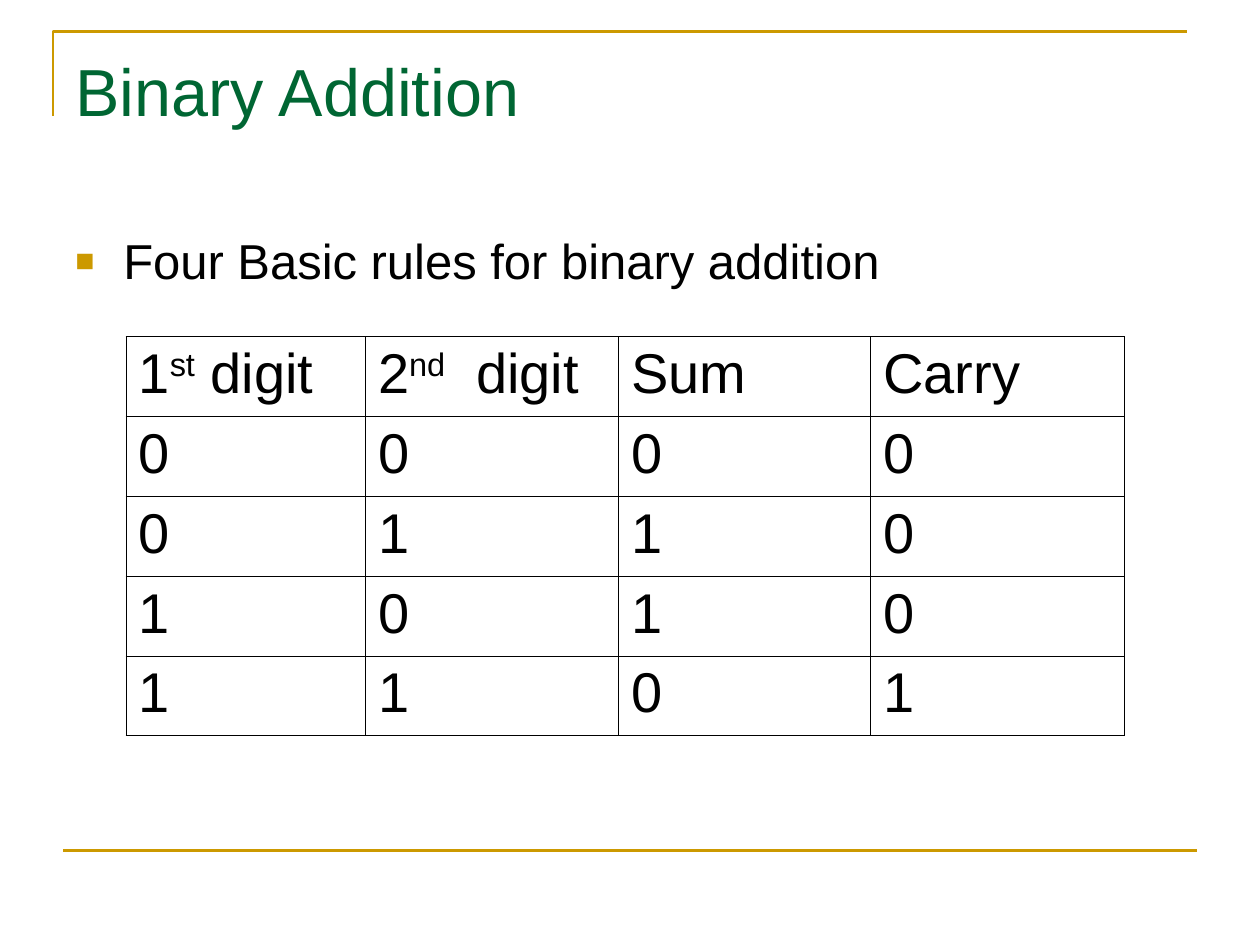
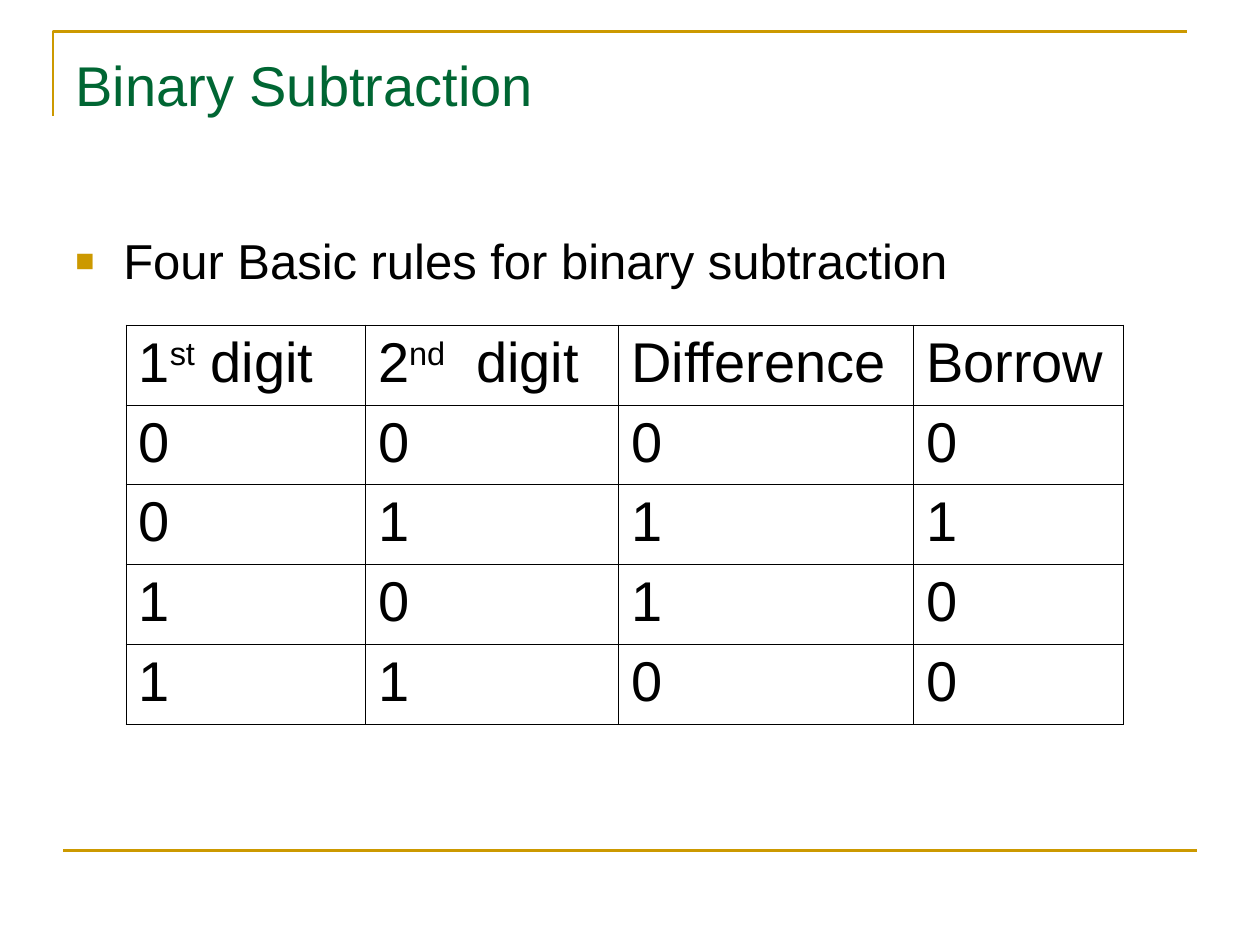
from lxml.etree import SubElement
from pptx import Presentation
from pptx.dml.color import RGBColor
from pptx.enum.shapes import MSO_CONNECTOR
from pptx.enum.text import MSO_ANCHOR, PP_ALIGN
from pptx.oxml.ns import qn
from pptx.util import Emu, Inches, Pt

FONT = "Arial"
GREEN, GOLD, BLACK = "006633", "CC9900", "000000"
WIDTH, HEIGHT = 10, 7.5
MARGIN = WIDTH / 20
FRAME_LEFT, FRAME_TOP, FRAME_DROP = 0.42, 0.25, 0.67
RULE_WIDTH = WIDTH - 2 * MARGIN
RULE_TOP = HEIGHT * 0.9
TABLE_LEFT, ROW_HEIGHT = 1, 0.634
BULLET_INDENT = 0.38

FIRST = [("1", 0), ("st", 30), (" digit", 0)]
SECOND = [("2", 0), ("nd", 30), ("  digit", 0)]

SLIDES = [
    {
        "title": "Binary Addition",
        "title_size": 38,
        "rule": "Four Basic rules for binary addition",
        "table_top": 2.67,
        "columns": [1.9, 2.01, 2, 2.01],
        "results": ("Sum", "Carry"),
        "digits": ["0000", "0110", "1010", "1101"],
    },
    {
        "title": "Binary Subtraction",
        "title_size": 32,
        "rule": "Four Basic rules for binary subtraction",
        "table_top": 2.58,
        "columns": [1.9, 2.01, 2.34, 1.67],
        "results": ("Difference", "Borrow"),
        "digits": ["0000", "0111", "1010", "1100"],
    },
]


def color(value):
    return RGBColor.from_string(value)


def add_run(paragraph, text, size, value, baseline=0):
    run = paragraph.add_run()
    run.text = text
    run.font.name = FONT
    run.font.size = Pt(size)
    run.font.color.rgb = color(value)
    if baseline:
        run._r.get_or_add_rPr().set("baseline", str(baseline * 1000))


def style_line(shape):
    shape.line.color.rgb = color(GOLD)
    shape.line.width = Pt(1.5)


def add_frame(slide):
    right = FRAME_LEFT + RULE_WIDTH
    builder = slide.shapes.build_freeform(
        Inches(FRAME_LEFT), Inches(FRAME_TOP + FRAME_DROP)
    )
    corners = [(FRAME_LEFT, FRAME_TOP), (right, FRAME_TOP)]
    builder.add_line_segments(
        [(Inches(x), Inches(y)) for x, y in corners], close=False
    )
    corner = builder.convert_to_shape()
    corner.shadow.inherit = False
    corner.fill.background()
    style_line(corner)

    rule = slide.shapes.add_connector(
        MSO_CONNECTOR.STRAIGHT,
        Inches(MARGIN), Inches(RULE_TOP),
        Inches(MARGIN + RULE_WIDTH), Inches(RULE_TOP),
    )
    style_line(rule)
    SubElement(rule._element.spPr, qn("a:effectLst"))


def add_text(slide, box, text, size, value, top_inset):
    shape = slide.shapes.add_textbox(*[Inches(length) for length in box])
    frame = shape.text_frame
    frame.word_wrap = True
    frame.vertical_anchor = MSO_ANCHOR.TOP
    frame.margin_top = Inches(top_inset)
    paragraph = frame.paragraphs[0]
    add_run(paragraph, text, size, value)
    return paragraph


def add_bullet(paragraph):
    properties = paragraph._p.get_or_add_pPr()
    properties.set("marL", str(Inches(BULLET_INDENT)))
    properties.set("indent", str(-Inches(BULLET_INDENT)))
    bullet_color = SubElement(properties, qn("a:buClr"))
    SubElement(bullet_color, qn("a:srgbClr"), val=GOLD)
    SubElement(properties, qn("a:buSzPct"), val="65000")
    SubElement(properties, qn("a:buFont"), typeface=FONT)
    SubElement(properties, qn("a:buChar"), char="■")


def add_borders(cell):
    properties = cell._tc.get_or_add_tcPr()
    for position, side in enumerate(("lnL", "lnR", "lnT", "lnB")):
        line = SubElement(properties, qn(f"a:{side}"), w=str(Pt(0.45)))
        fill = SubElement(line, qn("a:solidFill"))
        SubElement(fill, qn("a:srgbClr"), val=BLACK)
        properties.insert(position, line)


def add_rules_table(slide, content):
    header = [FIRST, SECOND] + [[(name, 0)] for name in content["results"]]
    rows = [header] + [
        [[(digit, 0)] for digit in digits] for digits in content["digits"]
    ]
    widths = content["columns"]
    table = slide.shapes.add_table(
        len(rows), len(widths),
        Inches(TABLE_LEFT), Inches(content["table_top"]),
        Inches(sum(widths)), Inches(ROW_HEIGHT * len(rows)),
    ).table
    table.first_row = False
    table.horz_banding = False
    for column, width in zip(table.columns, widths):
        column.width = Inches(width)
    for row, values in zip(table.rows, rows):
        row.height = Emu(Inches(ROW_HEIGHT))
        for cell, runs in zip(row.cells, values):
            cell.fill.background()
            add_borders(cell)
            paragraph = cell.text_frame.paragraphs[0]
            paragraph.alignment = PP_ALIGN.JUSTIFY
            for text, baseline in runs:
                add_run(paragraph, text, 32, BLACK, baseline)


def main():
    presentation = Presentation()
    presentation.slide_width = Inches(WIDTH)
    presentation.slide_height = Inches(HEIGHT)
    for content in SLIDES:
        slide = presentation.slides.add_slide(presentation.slide_layouts[6])
        add_frame(slide)
        add_text(slide, (MARGIN, 0.3, RULE_WIDTH, 1.25), content["title"],
                 content["title_size"], GREEN, 0.1)
        rule = add_text(slide, (MARGIN, 1.75, 8.92, 0.75), content["rule"],
                        28, BLACK, 0.08)
        add_bullet(rule)
        add_rules_table(slide, content)
    presentation.save("out.pptx")


if __name__ == "__main__":
    main()
